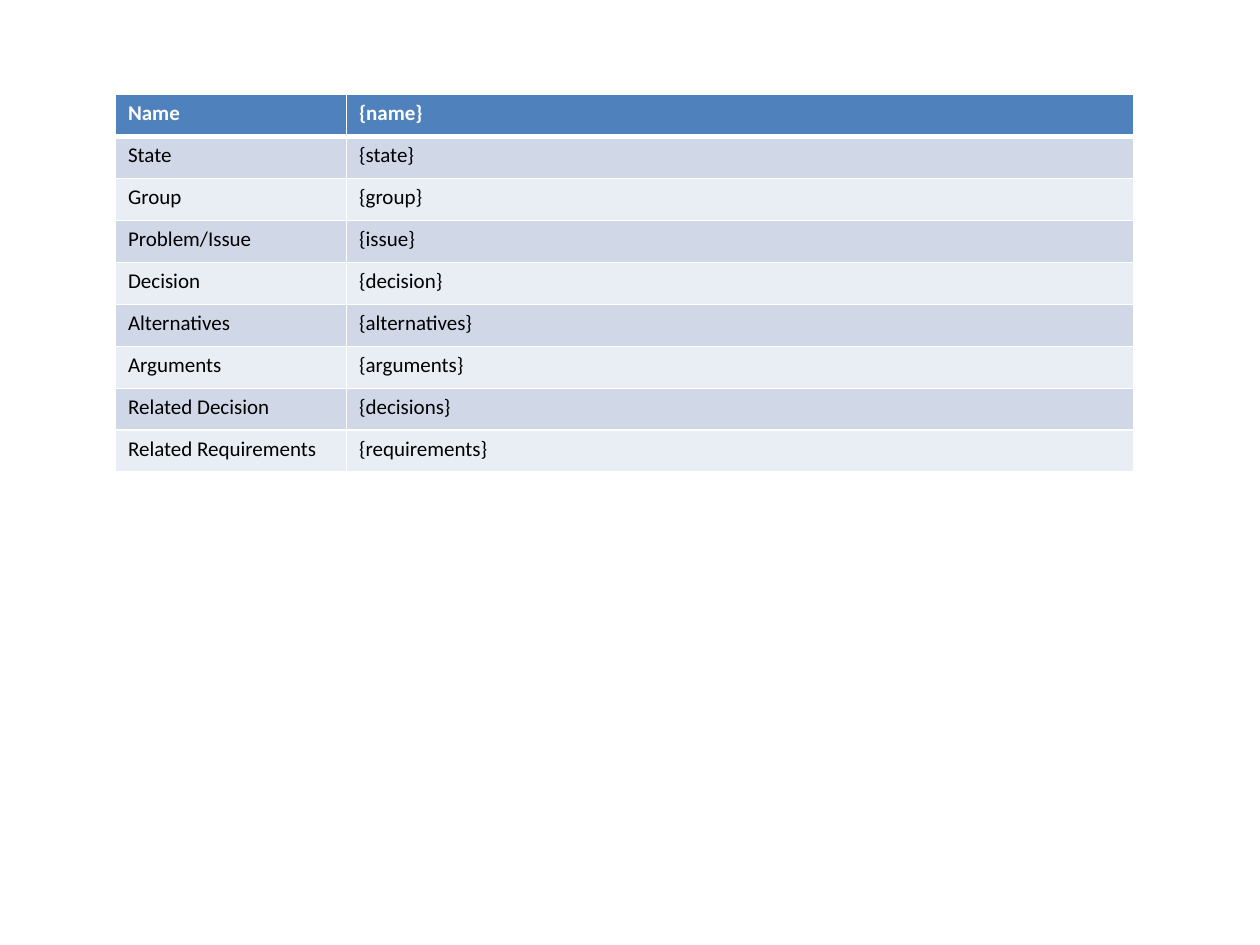
from lxml import etree
from pptx import Presentation
from pptx.dml.color import RGBColor
from pptx.oxml.ns import qn
from pptx.util import Inches, Pt

WHITE, BLACK = "FFFFFF", "000000"
HEADER, BAND_DARK, BAND_LIGHT = "4F81BD", "D0D8E8", "E9EDF4"

ROWS = [
    ("Name", "{name}"),
    ("State", "{state}"),
    ("Group", "{group}"),
    ("Problem/Issue", "{issue}"),
    ("Decision", "{decision}"),
    ("Alternatives", "{alternatives}"),
    ("Arguments", "{arguments}"),
    ("Related Decision", "{decisions}"),
    ("Related Requirements", "{requirements}"),
]
COLUMN_WIDTHS = [11 / 6, 6.25]
TABLE_LEFT, TABLE_TOP, TABLE_HEIGHT = 11 / 12, 0.75, 3


def paint(fill, color):
    fill.solid()
    fill.fore_color.rgb = RGBColor.from_string(color)


def add_border(cell, side, width, color):
    properties = cell._tc.get_or_add_tcPr()
    line = etree.SubElement(properties, qn("a:" + side), w=str(Pt(width)))
    solid = etree.SubElement(line, qn("a:solidFill"))
    etree.SubElement(solid, qn("a:srgbClr"), val=color)


deck = Presentation()
deck.slide_width, deck.slide_height = Inches(10), Inches(7.5)
page = deck.slides.add_slide(deck.slide_layouts[6])

# Table grid
table = page.shapes.add_table(
    len(ROWS), len(COLUMN_WIDTHS), Inches(TABLE_LEFT), Inches(TABLE_TOP),
    Inches(sum(COLUMN_WIDTHS)), Inches(TABLE_HEIGHT)).table
for column, width in zip(table.columns, COLUMN_WIDTHS):
    column.width = Inches(width)
for row in table.rows:
    row.height = Inches(TABLE_HEIGHT / len(ROWS))

# Cells: a header row, then alternating bands
for row_index, texts in enumerate(ROWS):
    is_header = row_index == 0
    band = BAND_DARK if row_index % 2 else BAND_LIGHT
    for column_index, text in enumerate(texts):
        cell = table.cell(row_index, column_index)
        for side in ("lnL", "lnR", "lnT", "lnB"):
            thick = (is_header and side == "lnB") or (row_index == 1 and side == "lnT")
            add_border(cell, side, 3 if thick else 1, WHITE)
        paint(cell.fill, HEADER if is_header else band)

        span = cell.text_frame.paragraphs[0].add_run()
        span.text = text
        span.font.name = "Calibri"
        span.font.size = Pt(12)
        span.font.bold = is_header
        paint(span.font.fill, WHITE if is_header else BLACK)

deck.save("out.pptx")
